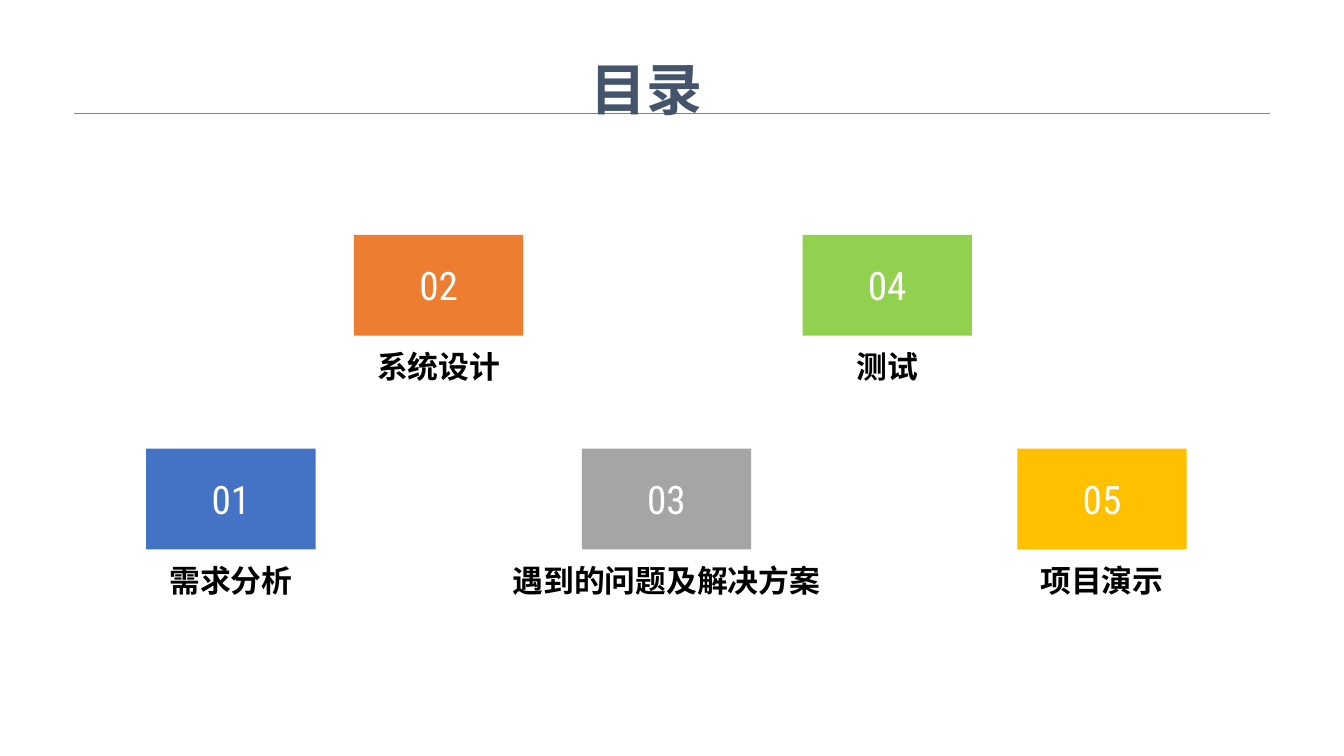
"""Builds a contents slide with five numbered sections in two staggered rows."""
from lxml import etree
from pptx import Presentation
from pptx import util as u
from pptx.dml.color import RGBColor
from pptx.enum import shapes, text
from pptx.oxml.ns import qn

BLUE = RGBColor(0x44, 0x72, 0xC4)
ORANGE = RGBColor(0xED, 0x7D, 0x31)
GRAY = RGBColor(0xA5, 0xA5, 0xA5)
GREEN = RGBColor(0x92, 0xD0, 0x50)
GOLD = RGBColor(0xFF, 0xC0, 0x00)
SLATE = RGBColor(0x44, 0x54, 0x6A)
RULE_GRAY = RGBColor(0x80, 0x80, 0x80)
WHITE = RGBColor(0xFF, 0xFF, 0xFF)
BLACK = RGBColor(0, 0, 0)

TITLE = "目录"
UPPER_ROW, LOWER_ROW = 2.33, 4.45
SECTIONS = [
    ("需求分析", BLUE, 1.45, LOWER_ROW, 1.82),
    ("系统设计", ORANGE, 3.51, UPPER_ROW, 1.82),
    ("遇到的问题及解决方案", GRAY, 5.77, LOWER_ROW, 3.25),
    ("测试", GREEN, 7.96, UPPER_ROW, 1.82),
    ("项目演示", GOLD, 10.09, LOWER_ROW, 2.2),
]
TILE_WIDTH, TILE_HEIGHT = 1.68, 1
LABEL_OFFSET, LABEL_HEIGHT = 1.08, 0.46


def write(shape, words, size, font_name, color, bold, anchor):
    frame = shape.text_frame
    frame.word_wrap = False
    frame.vertical_anchor = anchor
    paragraph = frame.paragraphs[0]
    paragraph.text = words
    paragraph.alignment = text.PP_ALIGN.CENTER
    font = paragraph.font
    font.size = u.Pt(size)
    font.name = font_name
    font.bold = bold
    font.color.rgb = color


def add_text(slide, box, words, size, color, anchor):
    shape = slide.shapes.add_textbox(*map(u.Inches, box))
    write(shape, words, size, "Arial", color, True, anchor)


def add_rule(slide):
    rule = slide.shapes.add_connector(
        shapes.MSO_CONNECTOR.STRAIGHT,
        u.Inches(0.73), u.Inches(1.12), u.Inches(12.6), u.Inches(1.12))
    rule.line.color.rgb = RULE_GRAY
    rule.line.width = u.Pt(0.25)
    etree.SubElement(rule._element.spPr, qn("a:effectLst"))


def add_section(slide, number, label, color, left, top, label_width):
    tile = slide.shapes.add_shape(
        shapes.MSO_SHAPE.RECTANGLE,
        *map(u.Inches, (left, top, TILE_WIDTH, TILE_HEIGHT)))
    tile.shadow.inherit = False
    tile.fill.solid()
    tile.fill.fore_color.rgb = color
    tile.line.fill.background()
    write(tile, f"{number:02d}", 28, "Roboto Condensed", WHITE, False,
          text.MSO_ANCHOR.MIDDLE)
    label_left = left + (TILE_WIDTH - label_width) / 2
    add_text(slide, (label_left, top + LABEL_OFFSET, label_width, LABEL_HEIGHT),
             label, 22, BLACK, text.MSO_ANCHOR.BOTTOM)


def main():
    presentation = Presentation()
    presentation.slide_width = u.Inches(13.33)
    presentation.slide_height = u.Inches(7.5)
    slide = presentation.slides.add_slide(presentation.slide_layouts[6])
    add_rule(slide)
    add_text(slide, (4.71, 0.49, 3.41, 0.79), TITLE, 40, SLATE, text.MSO_ANCHOR.TOP)
    for number, section in enumerate(SECTIONS, 1):
        add_section(slide, number, *section)
    presentation.save("out.pptx")


if __name__ == "__main__":
    main()
